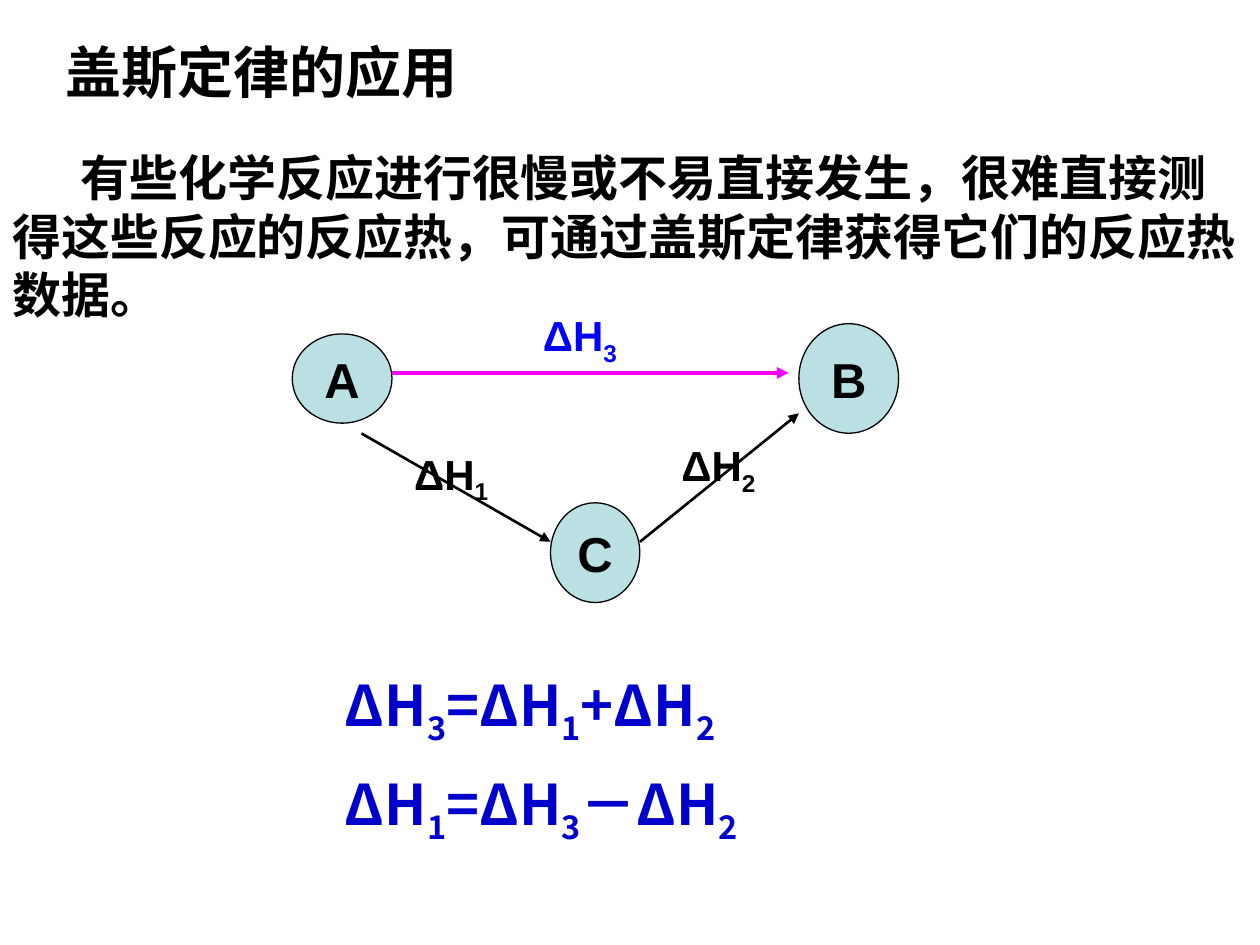
import itertools
import lxml.etree
import pptx
import pptx.dml.color
import pptx.enum.shapes
import pptx.enum.text
import pptx.oxml.ns
import pptx.util

Pt = pptx.util.Pt
RGB = pptx.dml.color.RGBColor
ALIGN = pptx.enum.text.PP_ALIGN
ANCHOR = pptx.enum.text.MSO_ANCHOR

BLACK = RGB(0x00, 0x00, 0x00)
BLUE = RGB(0x00, 0x00, 0xFF)
NAVY = RGB(0x00, 0x00, 0xCC)
PINK = RGB(0xFF, 0x00, 0xFF)
TEAL = RGB(0xBB, 0xE0, 0xE3)
LATIN = "Arial"
HAN = "Noto Sans CJK SC"
MATH = "Noto Sans CJK JP"


def add_run(para, text, size, color, font=LATIN, east=HAN, sub=False):
    """Add one bold run, lowered if it is a subscript."""
    run = para.add_run()
    run.text = text
    run.font.size = Pt(size)
    run.font.bold = True
    run.font.color.rgb = color
    run.font.name = font
    props = run._r.get_or_add_rPr()
    tag = pptx.oxml.ns.qn("a:ea")
    lxml.etree.SubElement(props, tag).set("typeface", east)
    if sub:
        props.set("baseline", "-25000")


def add_math(para, text, size, color, font):
    """Add a formula whose digits are subscripts."""
    for (sub, dash), part in itertools.groupby(
            text, lambda sign: (sign.isdigit(), sign == "－")):
        face = LATIN if dash else font
        add_run(para, "".join(part), size, color, face, face, sub)


def add_box(slide, left, top, width, height):
    """Add a wrapping text box and return its frame."""
    box = slide.shapes.add_textbox(Pt(left), Pt(top), Pt(width), Pt(height))
    box.text_frame.word_wrap = True
    return box.text_frame


def add_title(slide, left, top, width, height):
    """Place and format the title."""
    title = slide.shapes.title
    title.left, title.top = Pt(left), Pt(top)
    title.width, title.height = Pt(width), Pt(height)
    frame = title.text_frame
    frame.vertical_anchor = ANCHOR.TOP
    frame.auto_size = pptx.enum.text.MSO_AUTO_SIZE.NONE
    para = frame.paragraphs[0]
    para.alignment = ALIGN.LEFT
    add_run(para, "盖斯定律的应用", 32, BLACK, HAN)


def add_body(slide, left, top, width, height):
    """Add the paragraph with an indented first line."""
    para = add_box(slide, left, top, width, height).paragraphs[0]
    para._p.get_or_add_pPr().set("indent", str(Pt(39)))
    add_run(para, "有些化学反应进行很慢或不易直接发生，很难直接测得这些反应的反应热，"
            "可通过盖斯定律获得它们的反应热数据。", 28, BLACK)


def add_node(slide, name, left, top, width, height):
    """Add one substance as a lettered ellipse."""
    node = slide.shapes.add_shape(
        pptx.enum.shapes.MSO_SHAPE.OVAL,
        Pt(left), Pt(top), Pt(width), Pt(height))
    node.shadow.inherit = False
    node.fill.solid()
    node.fill.fore_color.rgb = TEAL
    node.line.color.rgb = BLACK
    node.line.width = Pt(0.75)
    frame = node.text_frame
    frame.word_wrap = False
    frame.vertical_anchor = ANCHOR.MIDDLE
    para = frame.paragraphs[0]
    para.alignment = ALIGN.CENTER
    add_run(para, name, 28, BLACK)


def add_arrow(slide, start, end, color, weight):
    """Add a straight arrow from start to end."""
    arrow = slide.shapes.add_connector(
        pptx.enum.shapes.MSO_CONNECTOR.STRAIGHT,
        *(Pt(value) for value in start + end))
    arrow.line.color.rgb = color
    arrow.line.width = Pt(weight)
    tail = lxml.etree.SubElement(
        arrow.line._get_or_add_ln(), pptx.oxml.ns.qn("a:tailEnd"))
    tail.set("type", "triangle")
    lxml.etree.SubElement(
        arrow._element.spPr, pptx.oxml.ns.qn("a:effectLst"))


def add_cycle(slide, left, top):
    """Add the reaction cycle of nodes, arrows and heat labels."""
    nodes = [("A", 0, 17.3, 57, 51),
             ("B", 289.5, 11.5, 57, 62.6),
             ("C", 147.6, 113.8, 51, 57)]
    arrows = [((57, 39.6), (283.7, 39.6), PINK, 2.25),
              ((39.6, 74.2), (147.6, 136.1), BLACK, 1.5),
              ((198.7, 136.1), (289.5, 62.7), BLACK, 1.5)]
    labels = [("ΔH3", 136.1, 0, BLUE),
              ("ΔH1", 62.6, 79.2, BLACK),
              ("ΔH2", 215.3, 74.2, BLACK)]
    for name, across, down, width, height in nodes:
        add_node(slide, name, left + across, top + down, width, height)
    for start, end, color, weight in arrows:
        add_arrow(slide, (left + start[0], top + start[1]),
                  (left + end[0], top + end[1]), color, weight)
    for text, across, down, color in labels:
        frame = add_box(slide, left + across, top + down, 70, 40)
        add_math(frame.paragraphs[0], text, 24, color, LATIN)


def add_sums(slide, left, top, width, height):
    """Add the two equations."""
    frame = add_box(slide, left, top, width, height)
    for order, text in enumerate(("ΔH3=ΔH1+ΔH2", "ΔH1=ΔH3－ΔH2")):
        para = frame.add_paragraph() if order else frame.paragraphs[0]
        para.line_spacing = 1.3
        add_math(para, text, 32, NAVY, MATH)


def main():
    """Build and save the slide."""
    deck = pptx.Presentation()
    deck.slide_width, deck.slide_height = Pt(720), Pt(540)
    slide = deck.slides.add_slide(deck.slide_layouts[5])
    add_title(slide, 30, 18, 319, 46)
    add_body(slide, 0, 80.6, 720, 108)
    add_cycle(slide, 167, 173.5)
    add_sums(slide, 190, 366.5, 300, 121)
    deck.save("out.pptx")


if __name__ == "__main__":
    main()
